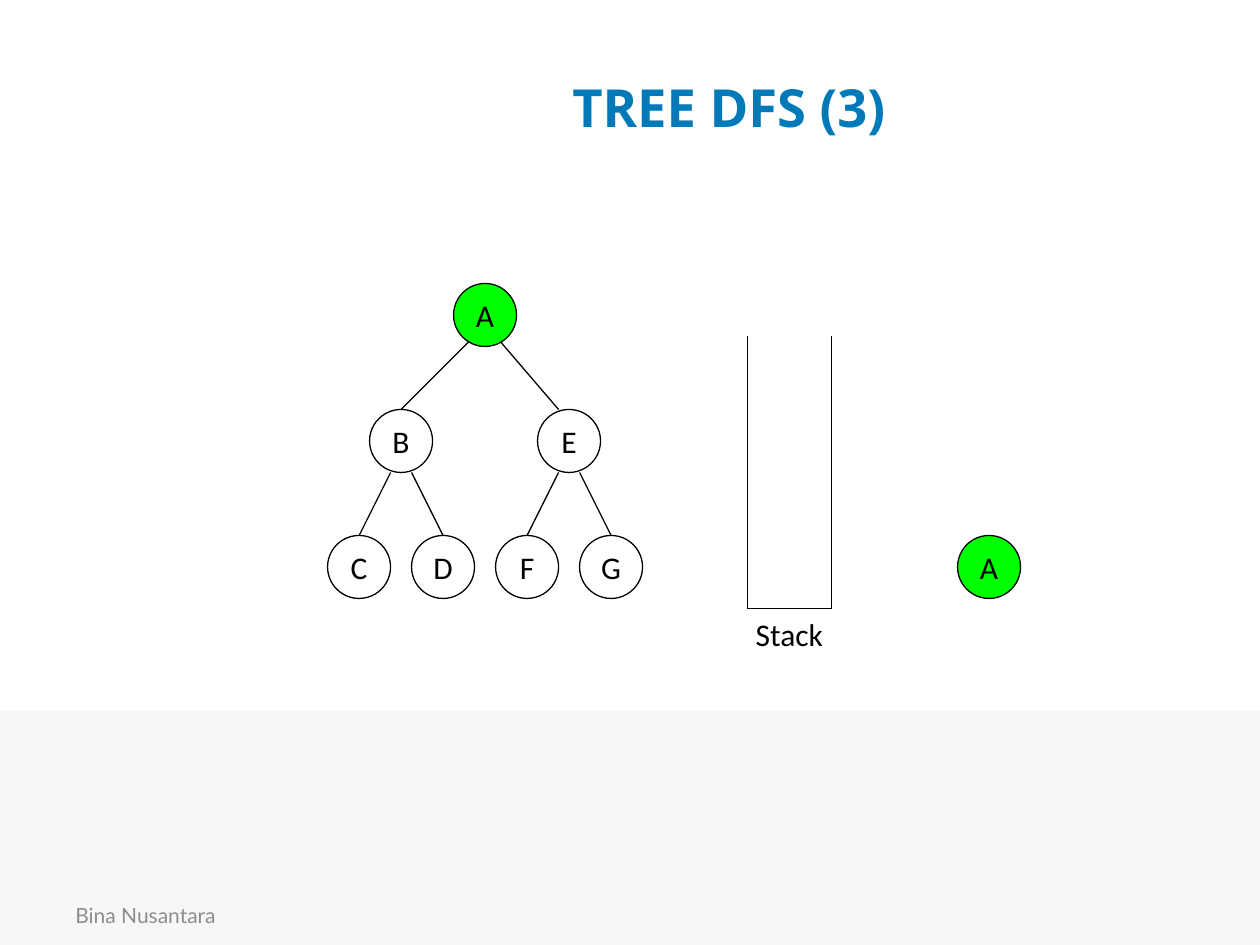
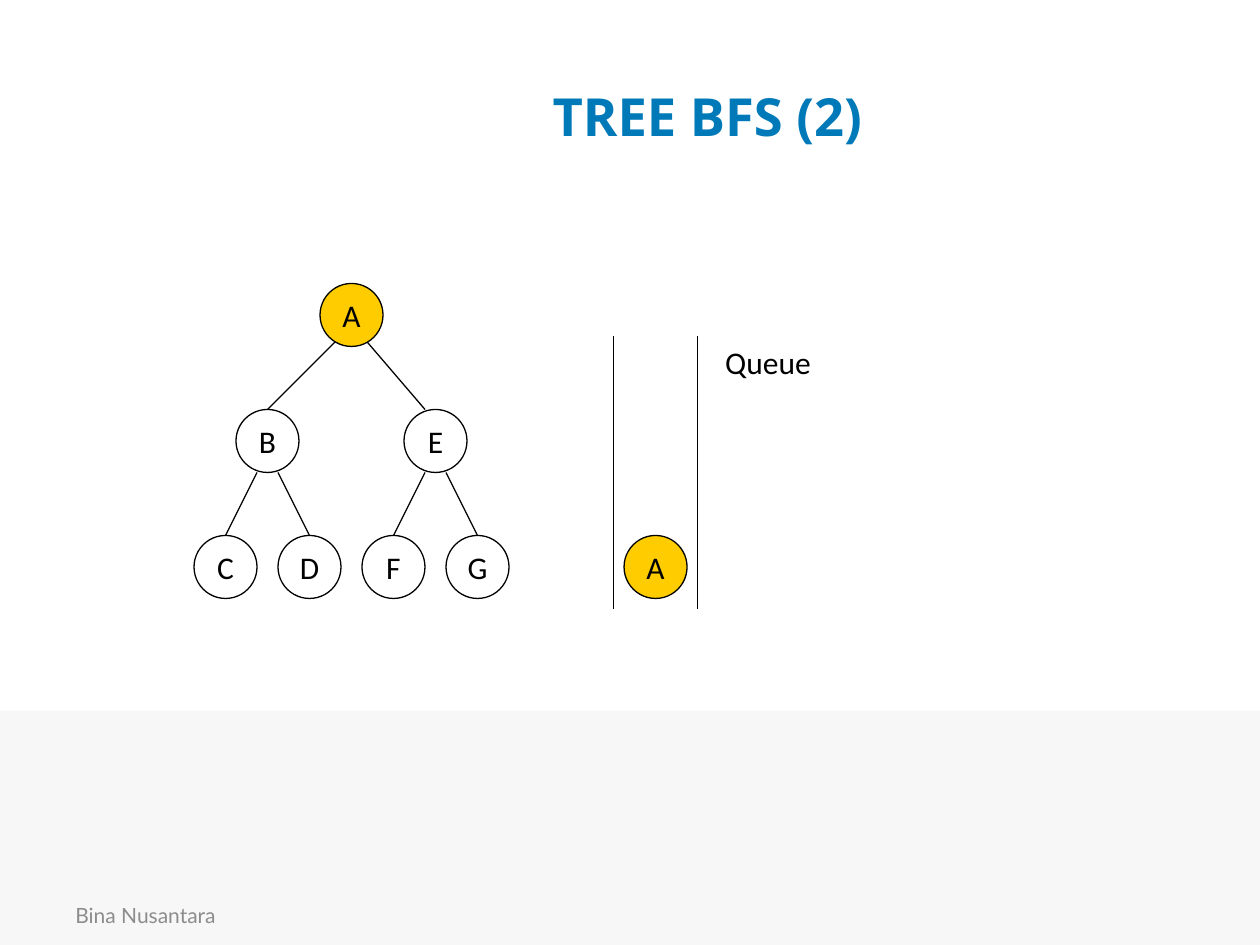
from dataclasses import dataclass

import lxml.etree
import pptx
import pptx.dml.color
import pptx.enum.shapes
import pptx.enum.text
import pptx.oxml.ns
import pptx.util

Inches = pptx.util.Inches
Pt = pptx.util.Pt
Align = pptx.enum.text.PP_ALIGN
Anchor = pptx.enum.text.MSO_ANCHOR
Shape = pptx.enum.shapes.MSO_SHAPE

TITLE_ONLY = 5
NODE_SIZE = 0.5
COLUMN = 1 / 3          # horizontal step between neighbouring tree columns
NUDGE = COLUMN / 4      # sideways shift of an edge where it leaves its parent
ROOT_TOP, LEVEL = 2.25, 1.0
TRACK_TOP, TRACK_BOTTOM, TRACK_WIDTH = 2.67, 4.83, 2 * COLUMN
LEAF_TOP = ROOT_TOP + 2 * LEVEL

# letter: (column, level)
NODES = {"A": (3, 0), "B": (1, 1), "E": (5, 1),
         "C": (0, 2), "D": (2, 2), "F": (4, 2), "G": (6, 2)}
# parent, child, side of the parent, shift at the child
EDGES = [("A", "B", -1, 0), ("A", "E", 1, -1),
         ("B", "C", -1, 0), ("B", "D", 1, 0),
         ("E", "F", -1, 0), ("E", "G", 1, 0)]


@dataclass(frozen=True)
class Theme:
    title_color: str = "0079B8"
    band_color: str = "F7F7F7"
    footer_color: str = "8C8C8C"
    ink: str = "000000"
    unvisited: str = "FFFFFF"
    dfs_visited: str = "00FF00"
    bfs_visited: str = "FFCC00"
    title_font: str = "Open Sans"
    footer_font: str = "Lato"
    label_font: str = "Calibri"
    title_size: int = 30
    footer_size: int = 12
    label_size: int = 18
    line_width: float = 0.75


def rgb(value):
    return pptx.dml.color.RGBColor.from_string(value)


class TraversalDeck:
    def __init__(self, theme):
        self.theme = theme
        self.presentation = pptx.Presentation()
        self.presentation.slide_width = Inches(10)
        self.presentation.slide_height = Inches(7.5)
        self.slide = None

    def start_slide(self, title, left, top):
        theme = self.theme
        layout = self.presentation.slide_layouts[TITLE_ONLY]
        self.slide = self.presentation.slides.add_slide(layout)
        heading = self.slide.shapes.title
        heading.left, heading.top = Inches(left), Inches(top)
        heading.width, heading.height = Inches(7.73), Inches(1.25)
        self.set_text(heading, title, theme.title_font, theme.title_size,
                      theme.title_color, bold=True)
        self.band()
        self.footer()

    def set_text(self, shape, text, font_name, size, color,
                 align=Align.CENTER, anchor=Anchor.MIDDLE, wrap=True, bold=False):
        frame = shape.text_frame
        frame.text = text
        frame.word_wrap = wrap
        frame.vertical_anchor = anchor
        paragraph = frame.paragraphs[0]
        paragraph.alignment = align
        font = paragraph.runs[0].font
        font.name, font.size, font.bold = font_name, Pt(size), bold
        font.color.rgb = rgb(color)

    def band(self):
        band = self.slide.shapes.add_shape(
            Shape.RECTANGLE, 0, Inches(5.64), Inches(10), Inches(1.86))
        band.shadow.inherit = False
        band.fill.solid()
        band.fill.fore_color.rgb = rgb(self.theme.band_color)
        band.line.fill.background()

    def footer(self):
        footer = self.slide.shapes.add_textbox(
            Inches(0.5), Inches(7.06), Inches(2.33), Inches(0.4))
        self.set_text(footer, "Bina Nusantara", self.theme.footer_font,
                      self.theme.footer_size, self.theme.footer_color, Align.LEFT)

    def group(self):
        return self.slide.shapes.add_group_shape().shapes

    def line(self, shapes, start, end):
        line = shapes.add_connector(
            pptx.enum.shapes.MSO_CONNECTOR.STRAIGHT,
            *(Inches(length) for length in (*start, *end)))
        line.line.color.rgb = rgb(self.theme.ink)
        line.line.width = Pt(self.theme.line_width)
        lxml.etree.SubElement(line._element.spPr, pptx.oxml.ns.qn("a:effectLst"))

    def node(self, shapes, letter, left, top, fill):
        node = shapes.add_shape(Shape.OVAL, Inches(left), Inches(top),
                                Inches(NODE_SIZE), Inches(NODE_SIZE))
        node.shadow.inherit = False
        node.fill.solid()
        node.fill.fore_color.rgb = rgb(fill)
        node.line.color.rgb = rgb(self.theme.ink)
        node.line.width = Pt(self.theme.line_width)
        self.set_text(node, letter, self.theme.label_font, self.theme.label_size,
                      self.theme.ink, wrap=False)

    def label(self, text, left, top, width):
        label = self.slide.shapes.add_textbox(
            Inches(left), Inches(top), Inches(width), Inches(0.4))
        self.set_text(label, text, self.theme.label_font, self.theme.label_size,
                      self.theme.ink, anchor=Anchor.TOP, wrap=False)
        label.text_frame.auto_size = pptx.enum.text.MSO_AUTO_SIZE.SHAPE_TO_FIT_TEXT

    def tree(self, left, visited, visited_color):
        """Draw the edges first so that the nodes cover their ends."""
        shapes = self.group()
        corners = {letter: (left + column * COLUMN, ROOT_TOP + level * LEVEL)
                   for letter, (column, level) in NODES.items()}
        for parent, child, side, shift in EDGES:
            parent_left, parent_top = corners[parent]
            child_left, child_top = corners[child]
            overlap = NUDGE if parent == "A" else 0
            self.line(shapes,
                      (child_left + NODE_SIZE / 2 + shift * NUDGE, child_top),
                      (parent_left + NODE_SIZE / 2 + side * NUDGE,
                       parent_top + NODE_SIZE - overlap))
        for letter, corner in corners.items():
            fill = visited_color if letter in visited else self.theme.unvisited
            self.node(shapes, letter, *corner, fill)

    def track(self, left, closed):
        """Draw the two walls, and the floor if closed; return their group."""
        shapes = self.group()
        right = left + TRACK_WIDTH
        for wall in (left, right):
            self.line(shapes, (wall, TRACK_BOTTOM), (wall, TRACK_TOP))
        if closed:
            self.line(shapes, (left, TRACK_BOTTOM), (right, TRACK_BOTTOM))
        return shapes


def main():
    theme = Theme()
    deck = TraversalDeck(theme)

    deck.start_slide("TREE DFS (3)", 1.92, 0.22)
    deck.tree(2.6, "A", theme.dfs_visited)
    deck.track(5.93, closed=True)
    deck.node(deck.slide.shapes, "A", 7.6, LEAF_TOP, theme.dfs_visited)
    deck.label("Stack", 5.85, TRACK_BOTTOM, 0.83)

    deck.start_slide("TREE BFS (2)", 1.75, 0.29)
    deck.tree(1.54, "A", theme.bfs_visited)
    queue_left = 4.87
    queue = deck.track(queue_left, closed=False)
    deck.node(queue, "A", queue_left + (TRACK_WIDTH - NODE_SIZE) / 2,
              LEAF_TOP, theme.bfs_visited)
    deck.label("Queue", 5.62, TRACK_TOP, 0.95)

    deck.presentation.save("out.pptx")


if __name__ == "__main__":
    main()
